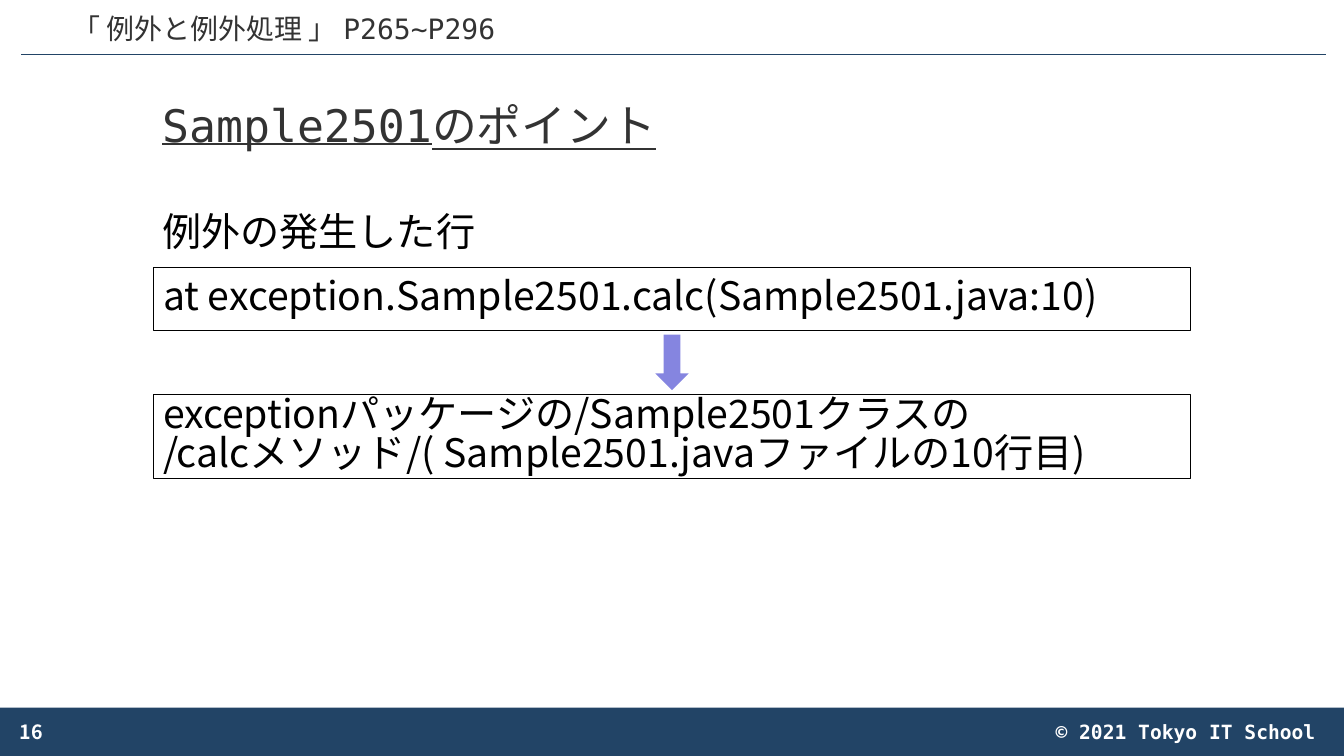
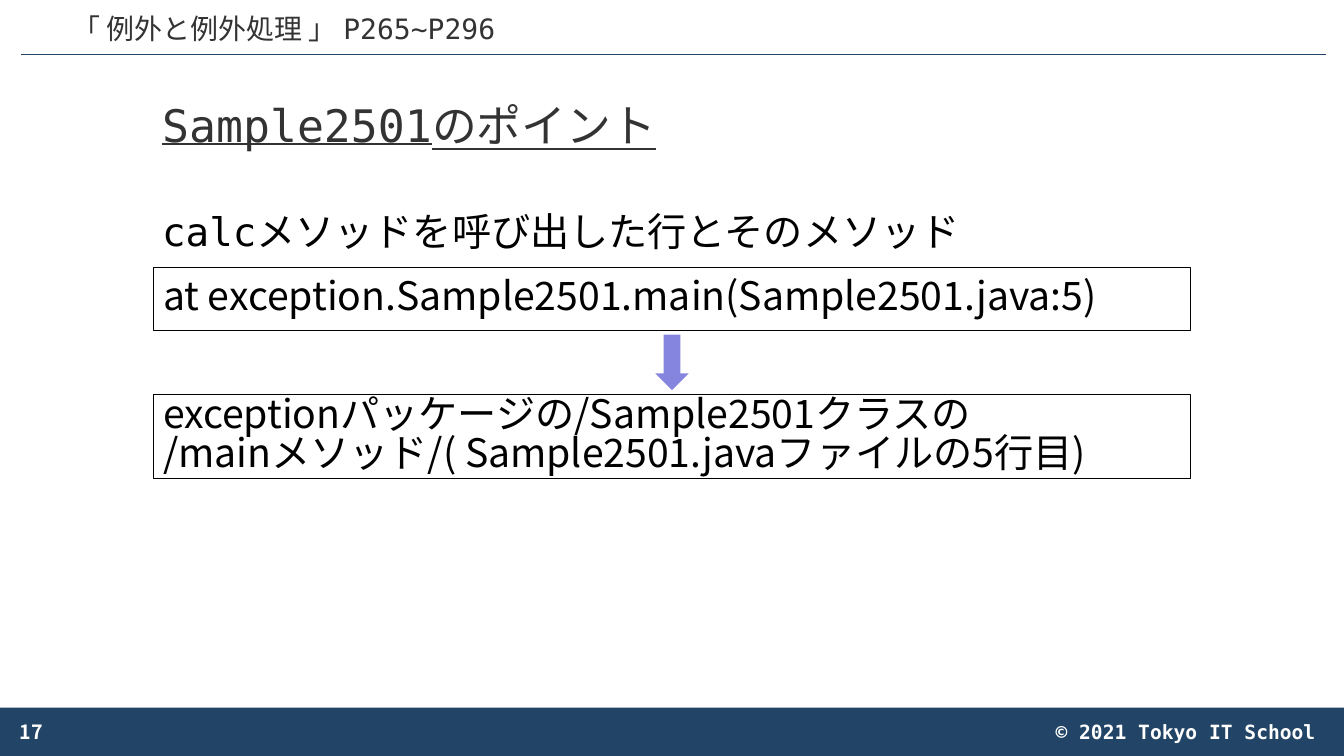
from lxml.etree import SubElement
from pptx import Presentation
from pptx.dml.color import RGBColor
from pptx.enum.shapes import MSO_CONNECTOR, MSO_SHAPE
from pptx.enum.text import MSO_ANCHOR as ANCHOR, PP_ALIGN as ALIGN
from pptx.oxml.ns import qn
from pptx.util import Cm, Pt

COLORS = {
    "band": "224466",
    "arrow": "8585E0",
    "title": "333333",
    "text": "000000",
    "light": "FFFFFF",
}
MONO, SANS = "DejaVu Sans Mono", "Noto Sans CJK JP"
SLIDE_W, SLIDE_H = 33.88, 19.05
BODY_X, BODY_W = 3.84, 26.21

SLIDES = [
    {
        "page": 16,
        "topic": "例外の発生した行",
        "trace": "at exception.Sample2501.calc(Sample2501.java:10)",
        "meaning": ["exceptionパッケージの/Sample2501クラスの",
                    "/calcメソッド/( Sample2501.javaファイルの10行目)"],
    },
    {
        "page": 17,
        "topic": "calcメソッドを呼び出した行とそのメソッド",
        "trace": "at exception.Sample2501.main(Sample2501.java:5)",
        "meaning": ["exceptionパッケージの/Sample2501クラスの",
                    "/mainメソッド/( Sample2501.javaファイルの5行目)"],
    },
]


def rgb(name):
    return RGBColor.from_string(COLORS[name])


def write(sp, lines, size, color="text", font=MONO, bold=False, underline=False,
          align=ALIGN.LEFT, anchor=ANCHOR.MIDDLE, spacing=None):
    tf = sp.text_frame
    tf.word_wrap = True
    tf.vertical_anchor = anchor
    for i, line in enumerate(lines):
        p = tf.paragraphs[0] if i == 0 else tf.add_paragraph()
        p.text = line
        p.alignment = align
        p.line_spacing = spacing
        f = p.font
        f.name, f.size, f.bold, f.underline = font, Pt(size), bold, underline
        f.color.rgb = rgb(color)
        # East Asian glyphs need their own typeface
        SubElement(p._p.pPr.find(qn("a:defRPr")), qn("a:ea"), typeface=SANS)


def add_text(slide, box, text, size, **style):
    sp = slide.shapes.add_textbox(*map(Cm, box))
    write(sp, [text], size, **style)


def add_block(slide, kind, box, fill=None, line=None):
    sp = slide.shapes.add_shape(kind, *map(Cm, box))
    sp.shadow.inherit = False
    if fill:
        sp.fill.solid()
        sp.fill.fore_color.rgb = rgb(fill)
    else:
        sp.fill.background()
    if line:
        sp.line.color.rgb = rgb(line)
        sp.line.width = Pt(0.75)
    else:
        sp.line.fill.background()
    return sp


def add_header(slide, x, y, w):
    rule = slide.shapes.add_connector(
        MSO_CONNECTOR.STRAIGHT, Cm(x), Cm(y), Cm(x + w), Cm(y))
    rule.line.color.rgb = rgb("band")
    rule.line.width = Pt(0.5)
    SubElement(rule._element.spPr, qn("a:effectLst"))
    add_text(slide, (0, y - 1.47, 14.3, 1.37), "「 例外と例外処理 」 P265~P296", 20,
             color="title", align=ALIGN.CENTER, anchor=ANCHOR.BOTTOM, spacing=0.9)


def add_footer(slide, y, h, page):
    add_block(slide, MSO_SHAPE.RECTANGLE, (0, y, SLIDE_W, h), fill="band")
    add_text(slide, (0.25, y + 0.1, 7.62, 1.02), str(page), 14,
             color="light", font=SANS, bold=True)
    add_text(slide, (21.18, y + 0.18, 12.24, 0.86), "© 2021 Tokyo IT School", 14,
             color="light", bold=True, align=ALIGN.RIGHT, anchor=ANCHOR.TOP)


def add_trace_panel(slide, x, y, w, trace, meaning):
    """Stack trace line above, its reading below, an arrow centred between."""
    trace_h, meaning_h, gap = 1.6, 2.13, 1.6
    arrow_w, arrow_h = 0.84, 1.4
    meaning_y = y + trace_h + gap
    for top, h, lines in ((y, trace_h, [trace]), (meaning_y, meaning_h, meaning)):
        sp = add_block(slide, MSO_SHAPE.RECTANGLE, (x, top, w, h), line="text")
        write(sp, lines, 28, font=SANS, spacing=Pt(28))
    add_block(slide, MSO_SHAPE.DOWN_ARROW,
              (x + (w - arrow_w) / 2, y + trace_h + (gap - arrow_h) / 2,
               arrow_w, arrow_h), fill="arrow")


def add_point_slide(prs, page, topic, trace, meaning):
    slide = prs.slides.add_slide(prs.slide_layouts[6])
    add_header(slide, 0.53, 1.37, 32.9)
    add_footer(slide, 17.83, SLIDE_H - 17.83, page)
    add_text(slide, (BODY_X, 1.73, BODY_W, 2.97), "Sample2501のポイント", 32,
             color="title", underline=True, spacing=0.9)
    add_text(slide, (BODY_X, 5.23, BODY_W, 1.5), topic, 28,
             anchor=ANCHOR.TOP, spacing=0.9)
    add_trace_panel(slide, BODY_X + 0.02, 6.73, BODY_W - 0.05, trace, meaning)


def main():
    prs = Presentation()
    prs.slide_width, prs.slide_height = Cm(SLIDE_W), Cm(SLIDE_H)
    for content in SLIDES:
        add_point_slide(prs, **content)
    prs.save("out.pptx")


if __name__ == "__main__":
    main()
